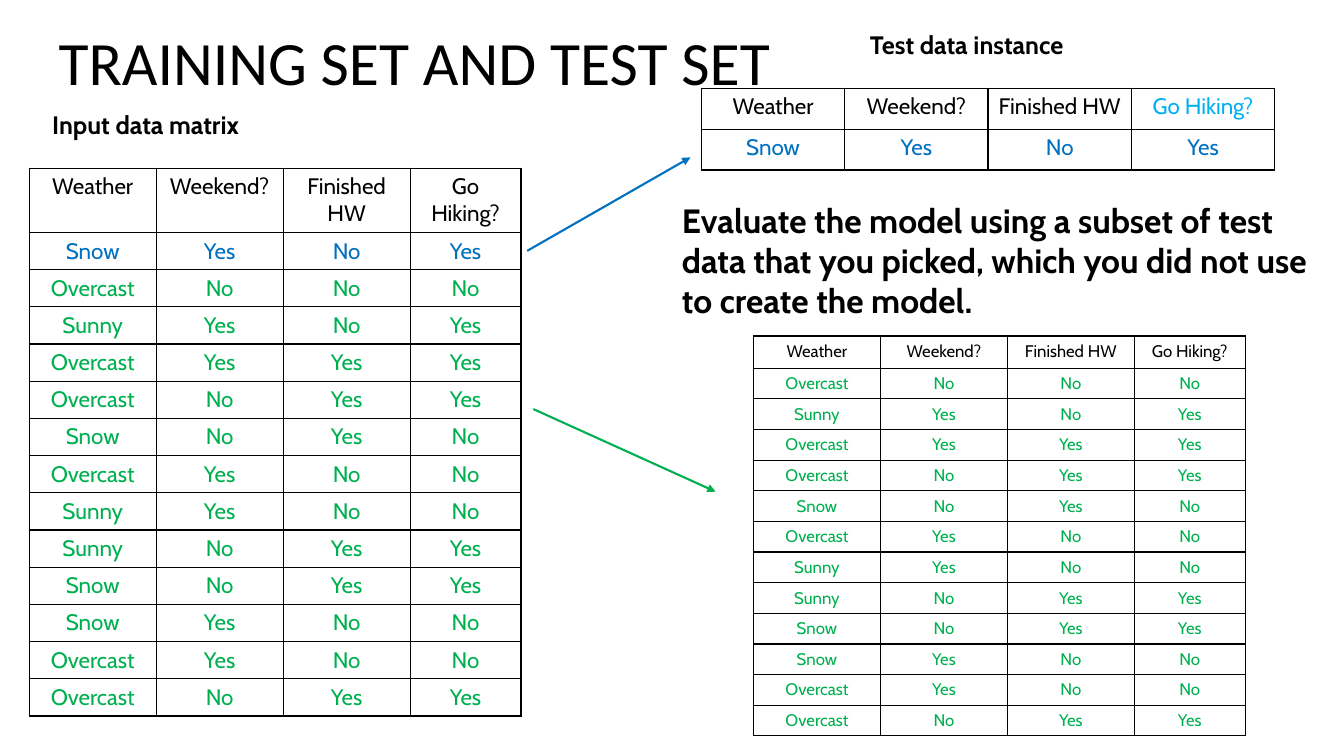
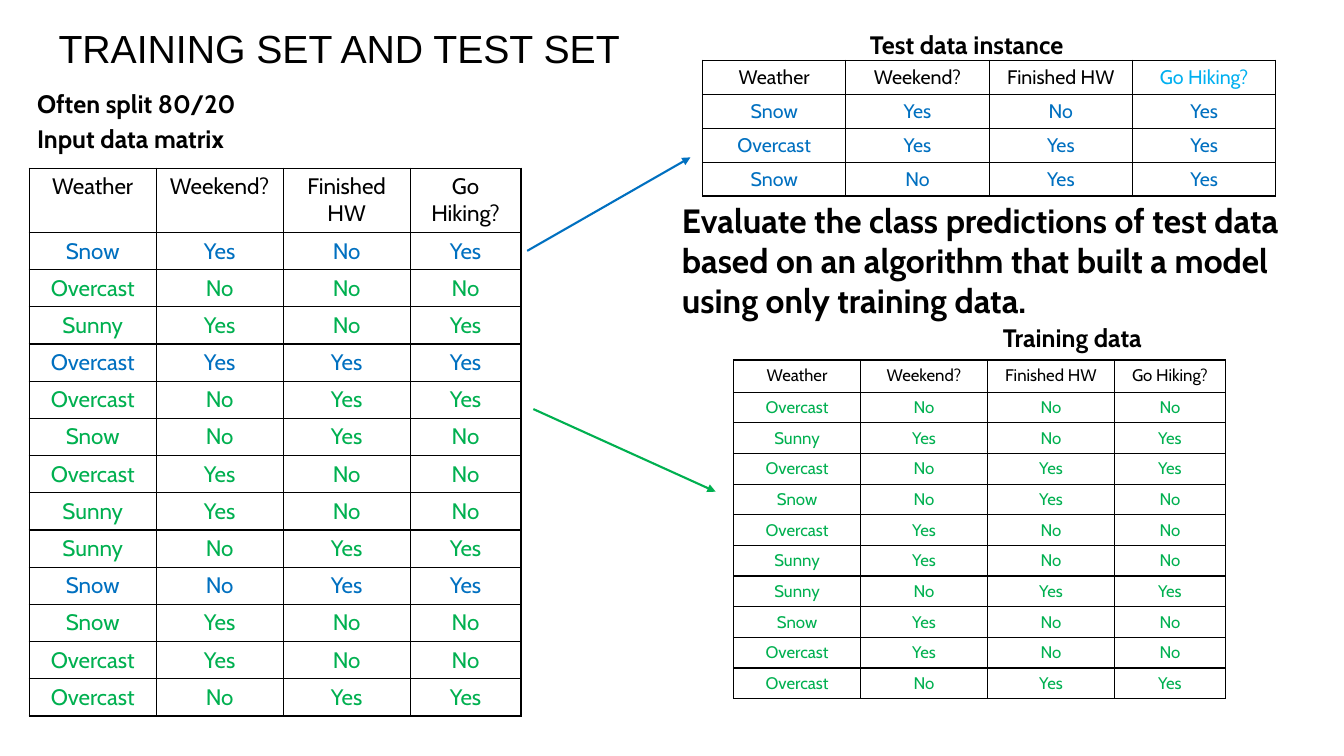
"""Build two slides that split a hiking data matrix into test and training sets."""
from dataclasses import dataclass

from lxml import etree
from pptx import Presentation
from pptx.dml.color import RGBColor
from pptx.enum.shapes import MSO_CONNECTOR
from pptx.enum.text import MSO_ANCHOR, MSO_AUTO_SIZE, PP_ALIGN
from pptx.oxml.ns import qn
from pptx.presentation import Presentation as Deck
from pptx.slide import Slide
from pptx.text.text import TextFrame
from pptx.util import Pt

STRAIGHT = MSO_CONNECTOR.STRAIGHT
TOP = MSO_ANCHOR.TOP
FIXED = MSO_AUTO_SIZE.NONE
LEFT, CENTER = PP_ALIGN.LEFT, PP_ALIGN.CENTER
TITLE_ONLY = 5

COLORS = {
    "text": "000000",
    "test": "0070C0",
    "training": "00B050",
    "target": "00B0F0",
}
FONT = "Cabin"
TITLE = "TRAINING SET AND TEST SET"
HEADER = ("Weather", "Weekend?", "Finished HW", "Go Hiking?")
RECORDS = (
    ("Snow", "Yes", "No", "Yes"),
    ("Overcast", "No", "No", "No"),
    ("Sunny", "Yes", "No", "Yes"),
    ("Overcast", "Yes", "Yes", "Yes"),
    ("Overcast", "No", "Yes", "Yes"),
    ("Snow", "No", "Yes", "No"),
    ("Overcast", "Yes", "No", "No"),
    ("Sunny", "Yes", "No", "No"),
    ("Sunny", "No", "Yes", "Yes"),
    ("Snow", "No", "Yes", "Yes"),
    ("Snow", "Yes", "No", "No"),
    ("Overcast", "Yes", "No", "No"),
    ("Overcast", "No", "Yes", "Yes"),
)
MATRIX_WIDTHS = (90.7, 90.7, 90.7, 79.2)
TEST_WIDTHS = (102.4,) * 4


@dataclass(frozen=True)
class Label:
    """Bold text with its place and size."""

    text: str
    left: float
    top: float
    width: float = 171.4
    height: float = 29
    size: float = 18


@dataclass(frozen=True)
class Grid:
    """Place and measures of a data table."""

    left: float
    top: float
    widths: tuple[float, ...]
    header_height: float
    row_height: float
    size: float
    target_color: str = "text"


@dataclass(frozen=True)
class Arrow:
    """Straight arrow from start to end."""

    start: tuple[float, float]
    end: tuple[float, float]
    color: str


@dataclass(frozen=True)
class Split:
    """Content of one slide: test rows, title format, labels and tables."""

    test_rows: tuple[int, ...]
    title_font: str
    title_size: float
    title_width: float
    title_height: float
    labels: tuple[Label, ...]
    test_grid: Grid
    training_grid: Grid


MATRIX_GRID = Grid(20.9, 120.2, MATRIX_WIDTHS, 45.7, 26.4, 16)
ARROWS = (
    Arrow((376.6, 179.2), (493.2, 112.4), "test"),
    Arrow((381, 292.2), (511.2, 351.2), "training"),
)
TEST_LABEL = Label("Test data instance", 614.2, 17.2)
SPLITS = (
    Split(
        (0,), "Calibri", 44, 540, 60.6,
        (
            Label("Input data matrix", 30.2, 74.2),
            TEST_LABEL,
            Label("Evaluate the model using a subset of test data that you picked, "
                  "which you did not use to create the model.",
                  480, 139, 481.6, 94.4, 24),
        ),
        Grid(501, 63, TEST_WIDTHS, 29.2, 29.2, 16, "target"),
        Grid(538.2, 240, MATRIX_WIDTHS, 23, 21.6, 12),
    ),
    Split(
        (0, 3, 9), "Arial", 28, 424, 74.9,
        (
            Label("Often split 80/20", 19.4, 59.8),
            Label("Input data matrix", 19.4, 84.6),
            TEST_LABEL,
            Label("Evaluate the class predictions of test data based on an algorithm "
                  "that built a model using only training data.",
                  480, 139, 481.6, 94.4, 24),
            Label("Training data", 709.2, 227),
        ),
        Grid(501.8, 43, TEST_WIDTHS, 24, 24, 14, "target"),
        Grid(524, 257.2, MATRIX_WIDTHS, 23, 21.6, 12),
    ),
)


def write_text(frame: TextFrame, text: str, size: float, color: str = "text",
               font: str = FONT, bold: bool = False, align: PP_ALIGN = LEFT) -> None:
    """Put one formatted paragraph into a text frame."""
    para = frame.paragraphs[0]
    para.alignment = align
    span = para.add_run()
    span.text = text
    for name, value in {"name": font, "size": Pt(size), "bold": bold}.items():
        setattr(span.font, name, value)
    span.font.color.rgb = RGBColor.from_string(COLORS[color])


def draw_title(page: Slide, split: Split) -> None:
    """Move and format the title placeholder."""
    title = page.shapes.title
    place = {"left": 34.6, "top": 13.7,
             "width": split.title_width, "height": split.title_height}
    for name, value in place.items():
        setattr(title, name, Pt(value))
    for name, value in {"word_wrap": True, "auto_size": FIXED, "vertical_anchor": TOP}.items():
        setattr(title.text_frame, name, value)
    write_text(title.text_frame, TITLE, split.title_size, font=split.title_font)


def draw_label(page: Slide, label: Label) -> None:
    """Add a bold wrapped text box."""
    box = page.shapes.add_textbox(Pt(label.left), Pt(label.top),
                                  Pt(label.width), Pt(label.height))
    box.text_frame.word_wrap = True
    write_text(box.text_frame, label.text, label.size, bold=True)


def draw_grid(page: Slide, grid: Grid, rows: list[int], test_rows: tuple[int, ...]) -> None:
    """Add a bordered table of the chosen records, coloured by their set."""
    heights = [grid.header_height] + [grid.row_height] * len(rows)
    table = page.shapes.add_table(
        len(heights), len(HEADER), Pt(grid.left), Pt(grid.top),
        Pt(sum(grid.widths)), Pt(sum(heights))).table
    table.first_row = table.horz_banding = False
    for column, width in zip(table.columns, grid.widths):
        column.width = Pt(width)
    header_colors = ["text"] * (len(HEADER) - 1) + [grid.target_color]
    lines = [(HEADER, header_colors)]
    for row in rows:
        color = "test" if row in test_rows else "training"
        lines.append((RECORDS[row], [color] * len(HEADER)))
    for row_index, (words, colors) in enumerate(lines):
        table.rows[row_index].height = Pt(heights[row_index])
        for column_index, (word, color) in enumerate(zip(words, colors)):
            cell = table.cell(row_index, column_index)
            properties = cell._tc.get_or_add_tcPr()
            for side in ("lnL", "lnR", "lnT", "lnB"):
                border = etree.SubElement(properties, qn(f"a:{side}"), w=str(Pt(1)))
                fill = etree.SubElement(border, qn("a:solidFill"))
                etree.SubElement(fill, qn("a:srgbClr"), val=COLORS["text"])
            cell.fill.background()
            write_text(cell.text_frame, word, grid.size, color, align=CENTER)


def draw_arrow(page: Slide, arrow: Arrow) -> None:
    """Add a straight connector with a triangular head."""
    connector = page.shapes.add_connector(
        STRAIGHT, *(Pt(value) for value in arrow.start + arrow.end))
    connector.line.color.rgb = RGBColor.from_string(COLORS[arrow.color])
    connector.line.width = Pt(1.5)
    etree.SubElement(connector.line._get_or_add_ln(), qn("a:tailEnd"), type="triangle")
    etree.SubElement(connector._element.spPr, qn("a:effectLst"))


def draw_split(deck: Deck, split: Split) -> None:
    """Add a slide with the data matrix and its test and training parts."""
    page = deck.slides.add_slide(deck.slide_layouts[TITLE_ONLY])
    draw_title(page, split)
    every_row = list(range(len(RECORDS)))
    training_rows = [row for row in every_row if row not in split.test_rows]
    draw_grid(page, MATRIX_GRID, every_row, split.test_rows)
    draw_grid(page, split.test_grid, list(split.test_rows), split.test_rows)
    draw_grid(page, split.training_grid, training_rows, split.test_rows)
    for label in split.labels:
        draw_label(page, label)
    for arrow in ARROWS:
        draw_arrow(page, arrow)


def main() -> None:
    """Build and save the deck."""
    deck = Presentation()
    deck.slide_width, deck.slide_height = Pt(960), Pt(540)
    for split in SPLITS:
        draw_split(deck, split)
    deck.save("out.pptx")


if __name__ == "__main__":
    main()
